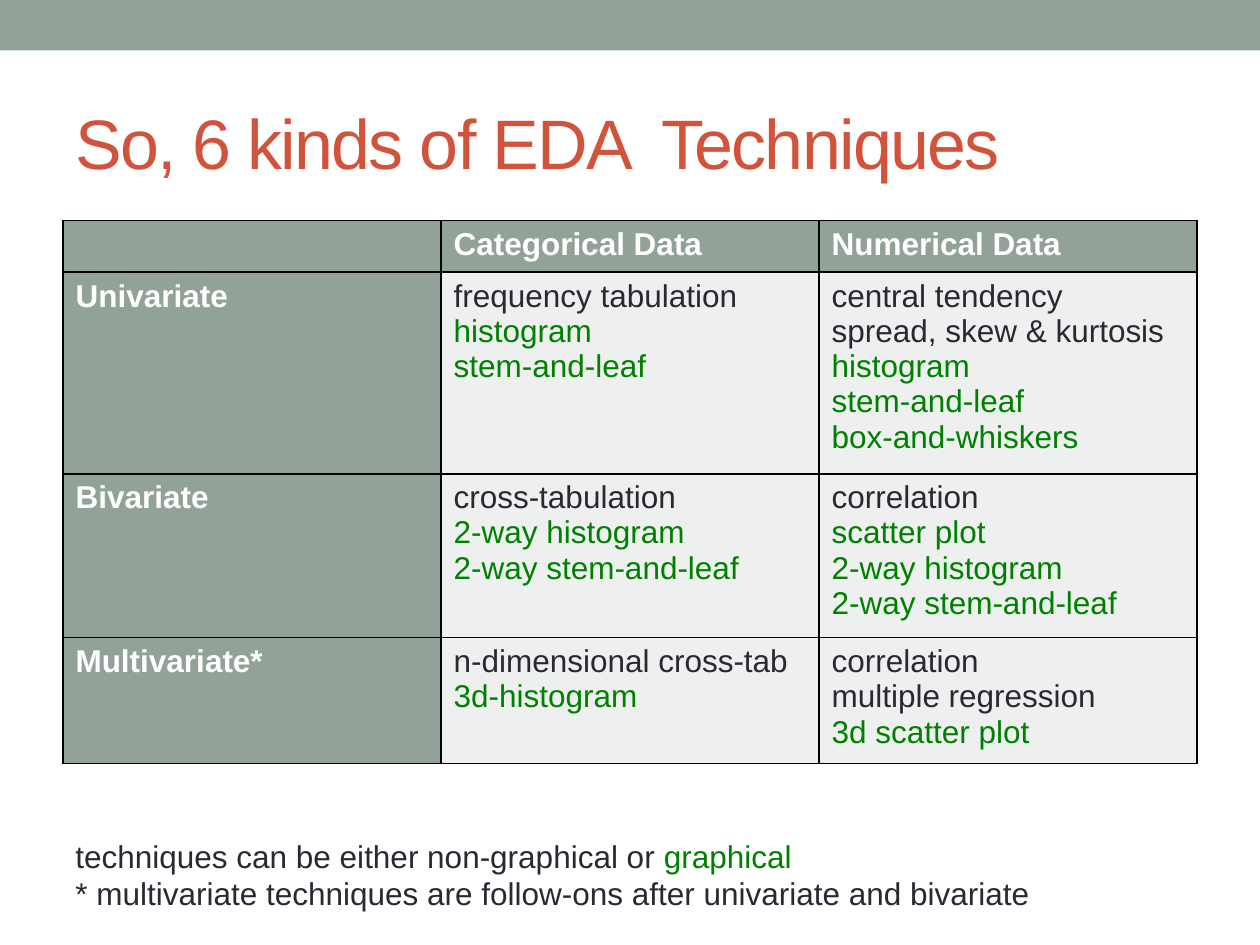
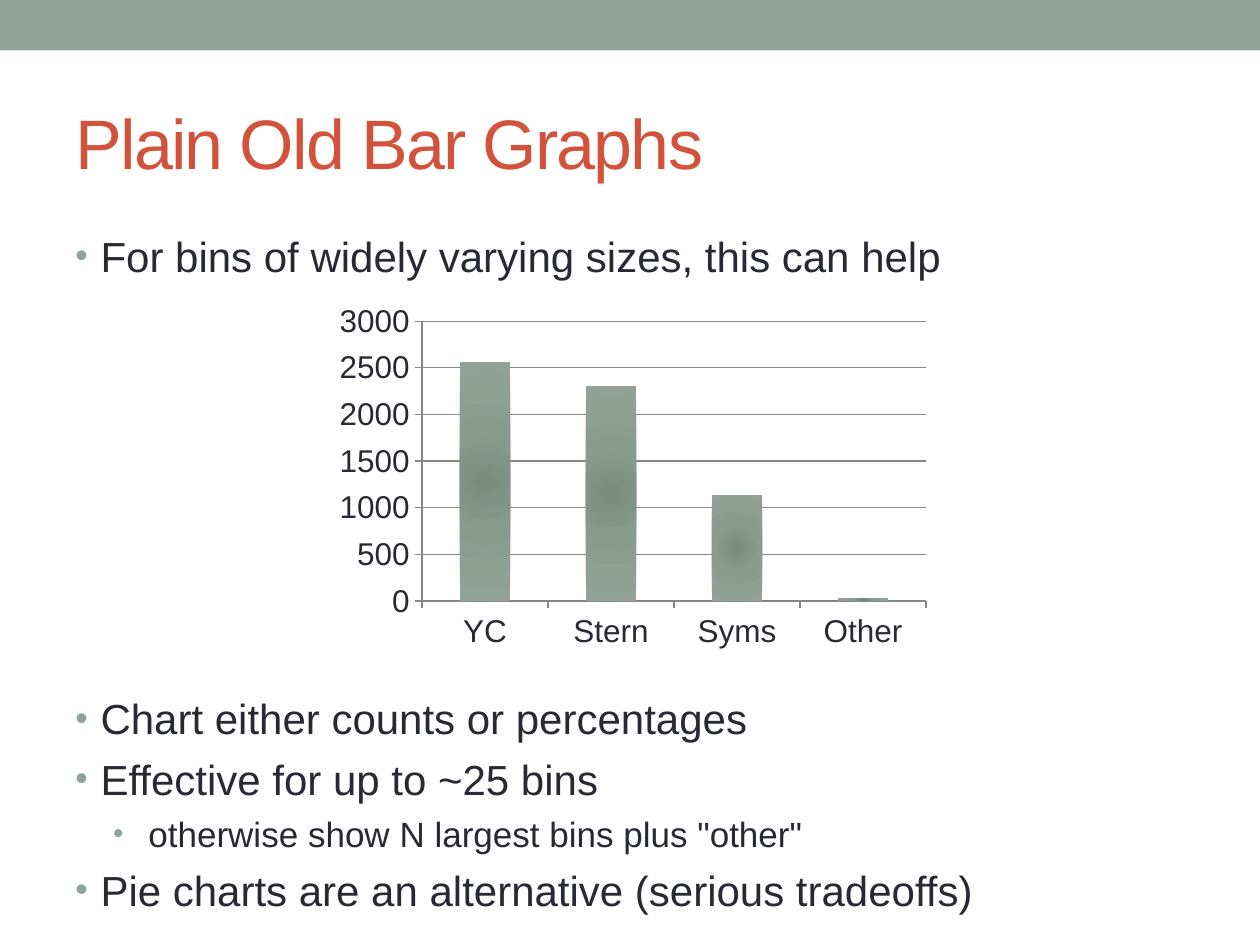
"""Build two slides on exploratory data analysis: a table of techniques and a bar graph."""
import dataclasses
import typing

import pptx
import pptx.chart.data
import pptx.dml.color
import pptx.enum.chart
import pptx.enum.shapes
import pptx.enum.text
import pptx.oxml
import pptx.oxml.ns
import pptx.util

EMU_PER_PX = 9144


@dataclasses.dataclass(frozen=True)
class Theme:
    """Colours and type sizes of the deck."""
    font: str = "Arial"
    sage: str = "93A299"
    sage_mid: str = "889B8F"
    sage_dark: str = "788B80"
    pale: str = "EEF0EF"
    rust: str = "D2533C"
    ink: str = "292934"
    green: str = "008000"
    white: str = "FFFFFF"
    black: str = "000000"
    grid: str = "868686"
    title_size: int = 40
    body_size: int = 24
    sub_size: int = 20
    small_size: int = 18


THEME = Theme()


class Span(typing.NamedTuple):
    """A run of text with its look."""
    text: str
    size: int = THEME.small_size
    color: str = THEME.ink
    bold: bool = False
    spacing: int = 0


class Frame(typing.NamedTuple):
    """A rectangle in px."""
    left: int
    top: int
    width: int
    height: int


class Bullet(typing.NamedTuple):
    """A bulleted line and its indent in px."""
    text: str
    size: int = THEME.body_size
    margin: int = 20
    hanging: int = 20


class TechniqueRow(typing.NamedTuple):
    """A table row with non-graphical and graphical techniques per data type."""
    label: str
    height: int
    categorical: tuple[list[str], list[str]]
    numerical: tuple[list[str], list[str]]


BAND = Frame(0, 0, 1000, 40)
TITLE = Frame(50, 58, 900, 108)
TABLE = Frame(50, 175, 900, 407)
FOOTNOTE = Frame(50, 659, 785, 71)
INTRO = Frame(50, 178, 900, 47)
ADVICE = Frame(50, 545, 900, 196)
CHART = Frame(250, 225, 500, 300)
HEADER_HEIGHT = 41
HEADERS = ["", "Categorical Data", "Numerical Data"]
ROWS = [
    TechniqueRow("Univariate", 150,
                 (["frequency tabulation"], ["histogram", "stem-and-leaf"]),
                 (["central tendency", "spread, skew & kurtosis"],
                  ["histogram", "stem-and-leaf", "box-and-whiskers"])),
    TechniqueRow("Bivariate", 122,
                 (["cross-tabulation"], ["2-way histogram", "2-way stem-and-leaf"]),
                 (["correlation"], ["scatter plot", "2-way histogram", "2-way stem-and-leaf"])),
    TechniqueRow("Multivariate*", 94,
                 (["n-dimensional cross-tab"], ["3d-histogram"]),
                 (["correlation", "multiple regression"], ["3d scatter plot"])),
]
BINS = {"YC": 2560, "Stern": 2300, "Syms": 1140, "Other": 30}
PLOT_LAYOUT = {"x": 0.17, "y": 0.1, "w": 0.8, "h": 0.74}


def px(length: int) -> pptx.util.Emu:
    """Turn px into EMU."""
    return pptx.util.Emu(length * EMU_PER_PX)


def place(frame: Frame) -> list[pptx.util.Emu]:
    """Turn a frame into EMU arguments."""
    return [px(length) for length in frame]


def rgb(color: str) -> pptx.dml.color.RGBColor:
    """Turn a hex string into a colour."""
    return pptx.dml.color.RGBColor.from_string(color)


def xml(tag: str, inner: str = "", attributes: str = ""):
    """Make an XML element in the drawing and chart namespaces."""
    names = pptx.oxml.ns.nsdecls("a", "c")
    return pptx.oxml.parse_xml(f"<{tag} {names} {attributes}>{inner}</{tag}>")


def solid(color: str) -> str:
    """Give the XML of a solid colour."""
    return f'<a:srgbClr val="{color}"/>'


def style_font(font, size: int, color: str, bold: bool = False) -> None:
    """Set the look of a font."""
    font.name = THEME.font
    font.size = pptx.util.Pt(size)
    font.bold = bold
    font.color.rgb = rgb(color)


def write(text_frame, lines: list[list[Span]]) -> None:
    """Write one paragraph for each list of spans."""
    for index, spans in enumerate(lines):
        para = text_frame.add_paragraph() if index else text_frame.paragraphs[0]
        for span in spans:
            run = para.add_run()
            run.text = span.text
            style_font(run.font, span.size, span.color, span.bold)
            if span.spacing:
                run._r.get_or_add_rPr().set("spc", str(span.spacing))


def add_text(page, frame: Frame, lines: list[list[Span]], middle: bool = False):
    """Add a wrapping text box."""
    box = page.shapes.add_textbox(*place(frame))
    box.text_frame.word_wrap = True
    if middle:
        box.text_frame.vertical_anchor = pptx.enum.text.MSO_ANCHOR.MIDDLE
    write(box.text_frame, lines)
    return box


def add_bullets(page, frame: Frame, bullets: list[Bullet]) -> None:
    """Add a text box of bulleted lines."""
    box = add_text(page, frame, [[Span(bullet.text, bullet.size)] for bullet in bullets])
    for index, (para, bullet) in enumerate(zip(box.text_frame.paragraphs, bullets)):
        properties = para._p.get_or_add_pPr()
        properties.set("marL", str(px(bullet.margin)))
        properties.set("indent", str(px(-bullet.hanging)))
        properties.append(xml("a:buClr", solid(THEME.sage)))
        properties.append(xml("a:buSzPct", attributes='val="85000"'))
        properties.append(xml("a:buFont", attributes=f'typeface="{THEME.font}"'))
        properties.append(xml("a:buChar", attributes='char="•"'))
        if index:
            para.space_before = pptx.util.Pt(round(bullet.size * 0.24, 1))


def add_page(deck, title: str):
    """Add a blank page with the top band and a title."""
    page = deck.slides.add_slide(deck.slide_layouts[6])
    band = page.shapes.add_shape(pptx.enum.shapes.MSO_SHAPE.RECTANGLE, *place(BAND))
    band.shadow.inherit = False
    band.fill.solid()
    band.fill.fore_color.rgb = rgb(THEME.sage)
    band.line.fill.background()
    add_text(page, TITLE, [[Span(title, THEME.title_size, THEME.rust, spacing=-100)]], middle=True)
    return page


def fill_cell(cell, fill: str, lines: list[list[Span]]) -> None:
    """Border, fill and write one table cell."""
    properties = cell._tc.get_or_add_tcPr()
    for side in ("lnL", "lnR", "lnT", "lnB"):
        line = f"<a:solidFill>{solid(THEME.black)}</a:solidFill>"
        properties.append(xml(f"a:{side}", line, 'w="12700"'))
    cell.fill.solid()
    cell.fill.fore_color.rgb = rgb(fill)
    write(cell.text_frame, lines)


def fill_heading(cell, text: str) -> None:
    """Write a heading cell."""
    fill_cell(cell, THEME.sage, [[Span(text, color=THEME.white, bold=True)]] if text else [])


def add_technique_table(page) -> None:
    """Add the table of techniques by data type."""
    table = page.shapes.add_table(len(ROWS) + 1, len(HEADERS), *place(TABLE)).table
    table.horz_banding = False
    table.rows[0].height = px(HEADER_HEIGHT)
    for column, header in enumerate(HEADERS):
        table.columns[column].width = px(TABLE.width // len(HEADERS))
        fill_heading(table.cell(0, column), header)
    for number, row in enumerate(ROWS, start=1):
        table.rows[number].height = px(row.height)
        fill_heading(table.cell(number, 0), row.label)
        for column, (plain, graphical) in enumerate((row.categorical, row.numerical), start=1):
            lines = [[Span(text)] for text in plain]
            lines += [[Span(text, color=THEME.green)] for text in graphical]
            fill_cell(table.cell(number, column), THEME.pale, lines)


def style_line(line) -> None:
    """Give an axis or grid line its look."""
    line.color.rgb = rgb(THEME.grid)
    line.width = pptx.util.Pt(0.75)


def add_bin_chart(page) -> None:
    """Add the column chart of bin counts."""
    data = pptx.chart.data.CategoryChartData()
    data.categories = list(BINS)
    data.add_series("Series 1", list(BINS.values()))
    kind = pptx.enum.chart.XL_CHART_TYPE.COLUMN_CLUSTERED
    chart = page.shapes.add_chart(kind, *place(CHART), data).chart
    chart.has_legend = False
    chart.has_title = False
    style_font(chart.font, THEME.small_size, THEME.ink)
    for axis in (chart.category_axis, chart.value_axis):
        axis.major_tick_mark = pptx.enum.chart.XL_TICK_MARK.OUTSIDE
        style_font(axis.tick_labels.font, THEME.small_size, THEME.ink)
        style_line(axis.format.line)
    chart.value_axis.minimum_scale = 0
    chart.value_axis.maximum_scale = 3000
    chart.value_axis.major_unit = 500
    chart.value_axis.has_major_gridlines = True
    style_line(chart.value_axis.major_gridlines.format.line)

    plot = chart.plots[0]
    plot.gap_width = 150
    plot.vary_by_categories = False
    stops = {0: THEME.sage_dark, 40000: THEME.sage_mid, 100000: THEME.sage}
    gradient = "".join(f'<a:gs pos="{at}">{solid(color)}</a:gs>' for at, color in stops.items())
    center = '<a:fillToRect l="50000" t="50000" r="50000" b="50000"/>'
    bars = plot.series[0].format
    bars.line.fill.background()
    plot.series[0]._element.get_or_add_spPr().insert(0, xml(
        "a:gradFill", f'<a:gsLst>{gradient}</a:gsLst><a:path path="circle">{center}</a:path>'))

    area = chart._chartSpace.chart.plotArea
    for layout in area.findall(pptx.oxml.ns.qn("c:layout")):
        area.remove(layout)
    modes = '<c:layoutTarget val="inner"/><c:xMode val="edge"/><c:yMode val="edge"/>'
    sizes = "".join(f'<c:{name} val="{value}"/>' for name, value in PLOT_LAYOUT.items())
    area.insert(0, xml("c:layout", f"<c:manualLayout>{modes}{sizes}</c:manualLayout>"))


def main() -> None:
    """Build and save the deck."""
    deck = pptx.Presentation()
    deck.slide_width, deck.slide_height = px(1000), px(750)

    page = add_page(deck, "So, 6 kinds of EDA  Techniques")
    add_technique_table(page)
    add_text(page, FOOTNOTE, [
        [Span("techniques can be either non-graphical or "), Span("graphical", color=THEME.green)],
        [Span("* multivariate techniques are follow-ons after univariate and bivariate")],
    ])

    page = add_page(deck, "Plain Old Bar Graphs")
    add_bullets(page, INTRO, [Bullet("For bins of widely varying sizes, this can help")])
    add_bullets(page, ADVICE, [
        Bullet("Chart either counts or percentages"),
        Bullet("Effective for up to ~25 bins"),
        Bullet('otherwise show N largest bins plus "other"', THEME.sub_size, 58, 28),
        Bullet("Pie charts are an alternative (serious tradeoffs)"),
    ])
    add_bin_chart(page)
    deck.save("out.pptx")


if __name__ == "__main__":
    main()
